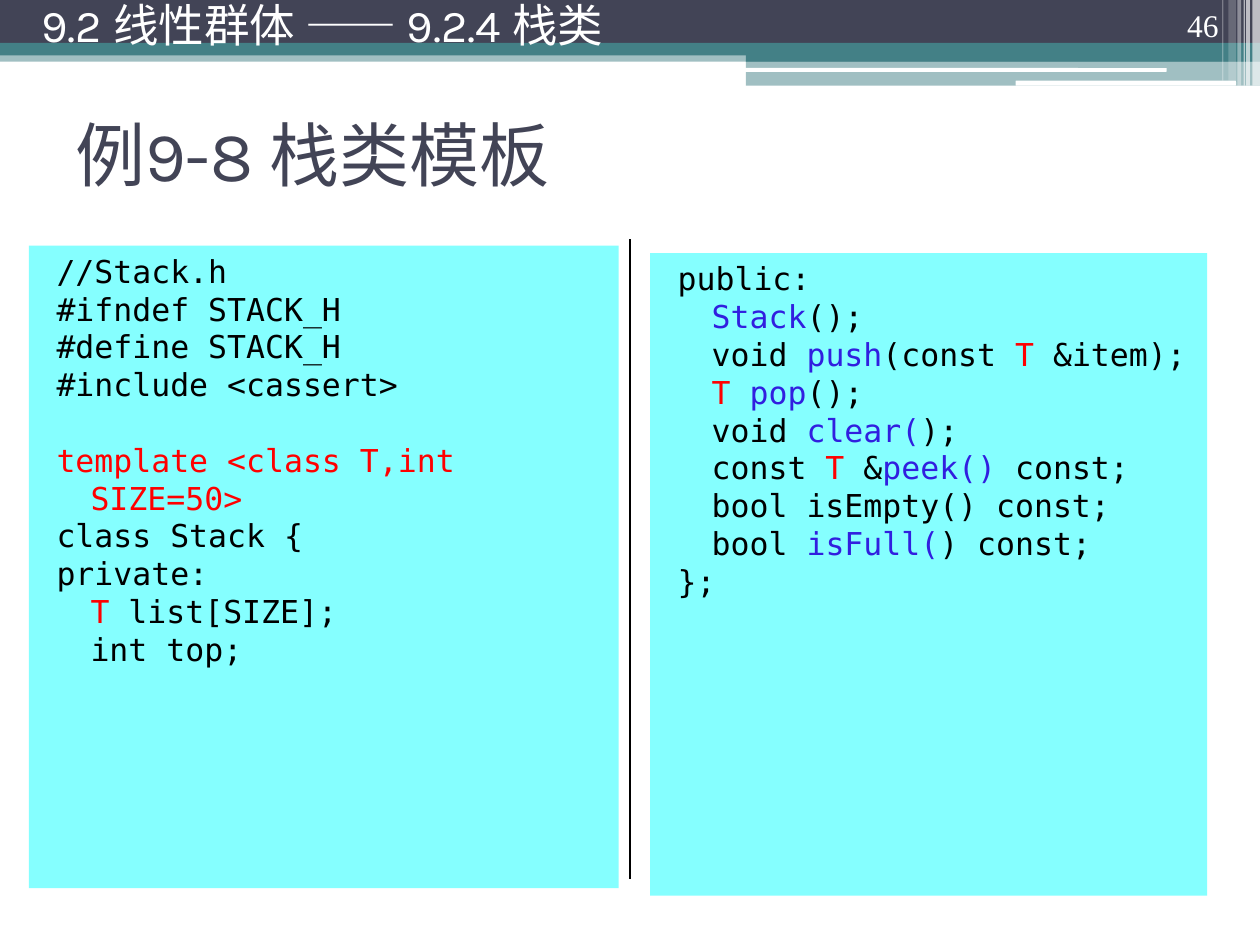
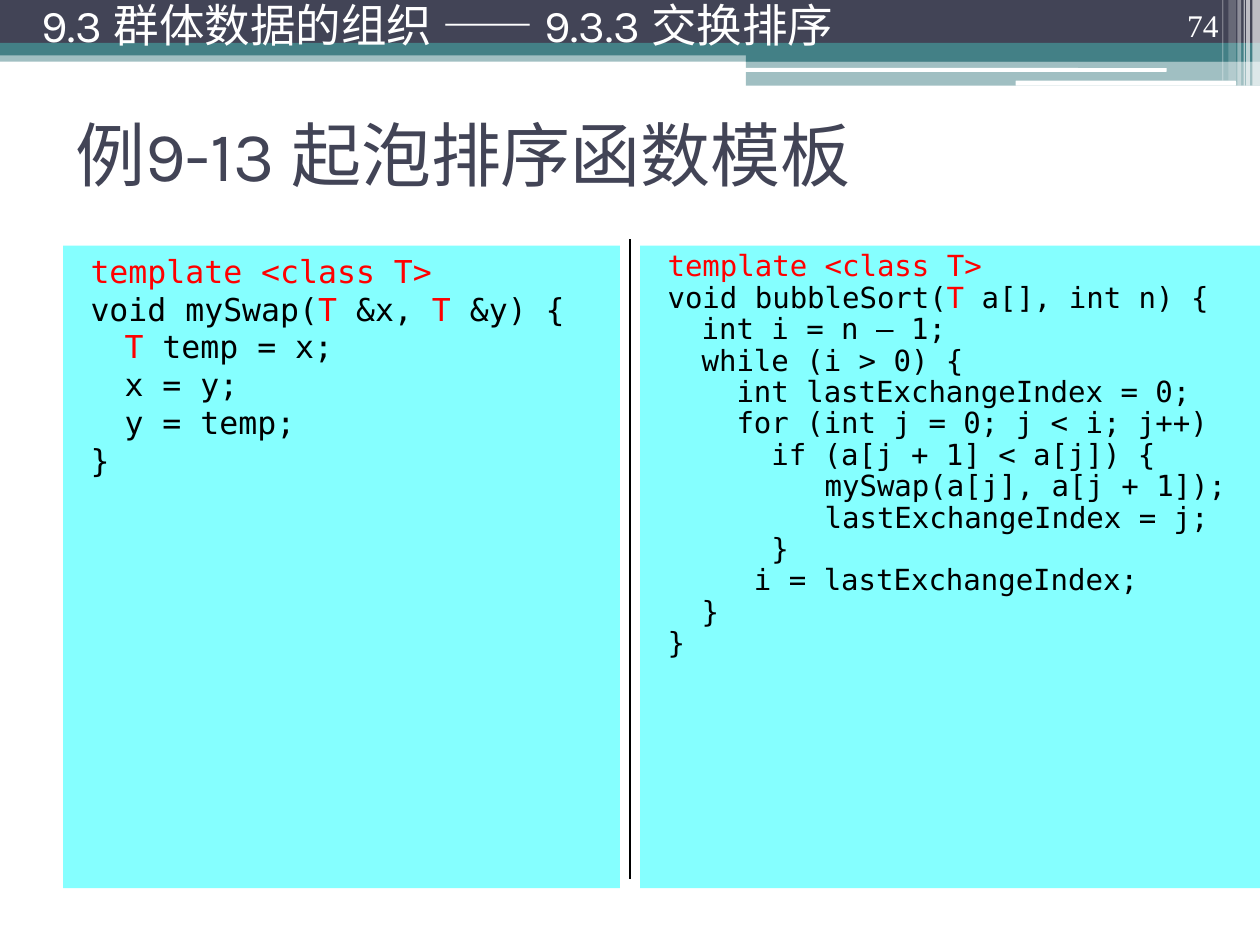
from dataclasses import dataclass

from lxml import etree
from pptx import Presentation
from pptx.dml.color import RGBColor
from pptx.enum import shapes, text
from pptx.oxml.ns import qn
from pptx.util import Inches, Pt


@dataclass(frozen=True)
class Theme:
    navy: str = "424456"
    teal: str = "438086"
    white: str = "FFFFFF"
    black: str = "000000"
    panel: str = "85FFFF"
    red: str = "FF0000"
    blue: str = "311FDF"
    heading_font: str = "Karla"
    code_font: str = "DejaVu Sans Mono"
    number_font: str = "Times New Roman"
    title_size: float = 40
    section_size: float = 26
    code_size: float = 18
    small_code_size: float = 16.6
    number_size: float = 18


THEME = Theme()


def red(words):
    return words, THEME.red


def blue(words):
    return words, THEME.blue


def add_block(page, box, color, opacity=100, rounded=False):
    kind = shapes.MSO_SHAPE.ROUNDED_RECTANGLE if rounded else shapes.MSO_SHAPE.RECTANGLE
    block = page.shapes.add_shape(kind, *map(Inches, box))
    block.shadow.inherit = False
    block.line.fill.background()
    block.fill.solid()
    block.fill.fore_color.rgb = RGBColor.from_string(color)
    if opacity < 100:
        tint = block.fill._xPr.find(qn("a:solidFill"))[0]
        etree.SubElement(tint, qn("a:alpha"), val=str(opacity * 1000))
    return block


def add_span(para, words, font, size, color):
    span = para.add_run()
    span.text = words
    span.font.name = font
    span.font.size = Pt(size)
    span.font.color.rgb = RGBColor.from_string(color)


def add_label(page, box, words, font, size, color,
              anchor=text.MSO_ANCHOR.MIDDLE, align=text.PP_ALIGN.LEFT, spacing=None):
    frame = page.shapes.add_textbox(*map(Inches, box)).text_frame
    frame.word_wrap = True
    frame.vertical_anchor = anchor
    para = frame.paragraphs[0]
    para.alignment = align
    para.line_spacing = spacing
    add_span(para, words, font, size, color)


def add_header_bands(page):
    """Draw the full-width bands, the stepped band at right and its light stripes."""
    add_block(page, (0, 0.4, 10, 0.09), THEME.teal, 50)
    add_block(page, (0, 0, 10, 0.34), THEME.navy)
    add_block(page, (0, 0.34, 10, 0.1), THEME.teal)
    add_block(page, (5.92, 0.39, 4.08, 0.1), THEME.teal)
    add_block(page, (5.92, 0.48, 4.08, 0.2), THEME.teal, 50)
    add_block(page, (5.91, 0.54, 3.35, 0.03), THEME.white, rounded=True)
    add_block(page, (8.06, 0.64, 1.75, 0.04), THEME.white, rounded=True)
    stripes = [(9.94, 0.06, 0.68, 65), (9.89, 0.03, 0.68, 65), (9.87, 0.01, 0.68, 60),
               (9.82, 0.03, 0.68, 40), (9.75, 0.06, 0.64, 20), (9.7, 0.01, 0.64, 30)]
    for left, width, height, opacity in stripes:
        add_block(page, (left, 0, width, height), THEME.white, opacity)


def add_divider(page):
    divider = page.shapes.add_connector(
        shapes.MSO_CONNECTOR.STRAIGHT, Inches(5), Inches(1.9), Inches(5), Inches(6.98))
    divider.line.color.rgb = RGBColor.from_string(THEME.black)
    divider.line.width = Pt(0.75)
    etree.SubElement(divider._element.spPr, qn("a:effectLst"))


def add_code_panel(page, box, groups, size=THEME.code_size, spacing=None):
    """Fill a panel with groups of code lines, one line of space between groups."""
    frame = add_block(page, box, THEME.panel).text_frame
    frame.word_wrap = True
    frame.vertical_anchor = text.MSO_ANCHOR.TOP
    para = None
    for group in groups:
        for index, line in enumerate(group):
            starts_group = para is not None and index == 0
            para = frame.paragraphs[0] if para is None else frame.add_paragraph()
            para.alignment = text.PP_ALIGN.LEFT
            para.line_spacing = spacing
            if starts_group:
                para.space_before = Pt(size * 1.2)
            properties = para._p.get_or_add_pPr()
            properties.set("marL", str(Inches(0.39)))
            properties.set("indent", str(Inches(-0.27)))
            for part in line if isinstance(line, list) else [line]:
                words, color = part if isinstance(part, tuple) else (part, THEME.black)
                add_span(para, words, THEME.code_font, size, color)


def add_code_page(deck, section, title, number, panels):
    page = deck.slides.add_slide(deck.slide_layouts[6])
    add_header_bands(page)
    add_label(page, (0.5, 0.63, 9, 1.17), title,
              THEME.heading_font, THEME.title_size, THEME.navy)
    for panel in panels:
        add_code_panel(page, **panel)
    add_label(page, (8.94, 0, 0.83, 0.4), number,
              THEME.number_font, THEME.number_size, THEME.white,
              text.MSO_ANCHOR.BOTTOM, text.PP_ALIGN.RIGHT)
    add_divider(page)
    add_label(page, (0.23, 0, 9.1, 0.47), section,
              THEME.heading_font, THEME.section_size, THEME.white, spacing=0.8)


STACK_HEAD = [
    ["//Stack.h", "#ifndef STACK_H", "#define STACK_H", "#include <cassert>"],
    [
        [red("template <class T,int SIZE=50>")],
        "class Stack {",
        "private:",
        ["\t", red("T"), " list[SIZE];"],
        "\tint top;",
    ],
]

STACK_INTERFACE = [[
    "public:",
    ["\t", blue("Stack"), "();"],
    ["\tvoid ", blue("push"), "(const ", red("T"), " &item);"],
    ["\t", red("T "), blue("pop"), "();"],
    ["\tvoid ", blue("clear("), ");"],
    ["\tconst ", red("T "), "&", blue("peek() "), "const;"],
    "\tbool isEmpty() const;",
    ["\tbool ", blue("isFull("), ") const;"],
    "};",
]]

SWAP = [[
    [red("template <class T>")],
    ["void mySwap(", red("T"), " &x, ", red("T"), " &y) {"],
    ["\t", red("T"), " temp = x;"],
    "\tx = y;",
    "\ty = temp;",
    "}",
]]

BUBBLE_SORT = [[
    [red("template <class T>")],
    ["void bubbleSort(", red("T"), " a[], int n) {"],
    "\tint i = n – 1;",
    "\twhile (i > 0) {",
    "\t  int lastExchangeIndex = 0;",
    "\t  for (int j = 0; j < i; j++)",
    "\t    if (a[j + 1] < a[j]) {",
    "         mySwap(a[j], a[j + 1]);",
    "         lastExchangeIndex = j;",
    "\t    }",
    "\t   i = lastExchangeIndex;",
    "\t}",
    "}",
]]


def main():
    deck = Presentation()
    deck.slide_width, deck.slide_height = Inches(10), Inches(7.5)
    add_code_page(deck, "9.2 线性群体 —— 9.2.4 栈类", "例9-8 栈类模板", "46", [
        dict(box=(0.23, 1.95, 4.68, 5.1), groups=STACK_HEAD),
        dict(box=(5.16, 2.01, 4.42, 5.1), groups=STACK_INTERFACE),
    ])
    add_code_page(deck, "9.3 群体数据的组织 —— 9.3.3 交换排序", "例9-13 起泡排序函数模板", "74", [
        dict(box=(0.5, 1.95, 4.42, 5.1), groups=SWAP),
        dict(box=(5.08, 1.95, 4.92, 5.1), groups=BUBBLE_SORT,
             size=THEME.small_code_size, spacing=0.9),
    ])
    deck.save("out.pptx")


if __name__ == "__main__":
    main()
